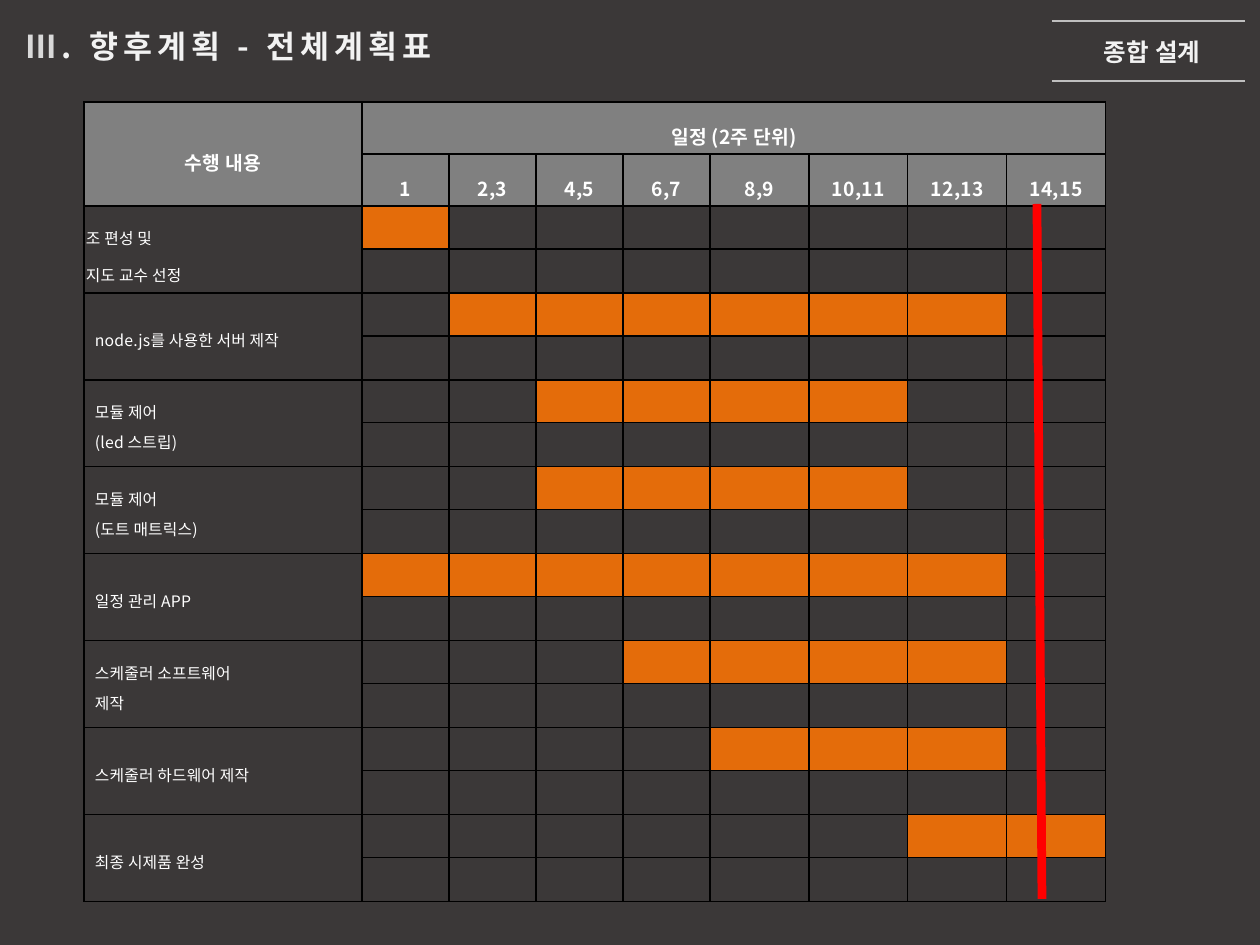
from lxml import etree
from pptx import Presentation
from pptx.dml.color import RGBColor
from pptx.enum.shapes import MSO_CONNECTOR
from pptx.enum.text import MSO_ANCHOR, PP_ALIGN
from pptx.oxml.ns import qn
from pptx.util import Pt

PX = 914400 / 126
FONT = "Noto Sans CJK KR"
STRAIGHT = MSO_CONNECTOR.STRAIGHT
MIDDLE = MSO_ANCHOR.MIDDLE
LEFT, CENTER, RIGHT, JUSTIFY = (
    PP_ALIGN.LEFT, PP_ALIGN.CENTER, PP_ALIGN.RIGHT, PP_ALIGN.JUSTIFY)

BACKGROUND = RGBColor(0x3B, 0x38, 0x38)
PALE = RGBColor(0xF2, 0xF2, 0xF2)
LIGHT = RGBColor(0xD9, 0xD9, 0xD9)
RULE = RGBColor(0xBF, 0xBF, 0xBF)
WHITE = RGBColor(0xFF, 0xFF, 0xFF)
HEADER = RGBColor(0x80, 0x80, 0x80)
ORANGE = RGBColor(0xE4, 0x6C, 0x0A)
RED = RGBColor(0xFF, 0x00, 0x00)

PERIODS = ["1", "2,3", "4,5", "6,7", "8,9", "10,11", "12,13", "14,15"]
TASKS = [
    (["조 편성 및", "지도 교수 선정"], 1, 1),
    (["node.js를 사용한 서버 제작"], 2, 7),
    (["모듈 제어", "(led 스트립)"], 3, 6),
    (["모듈 제어", "(도트 매트릭스)"], 3, 6),
    (["일정 관리 APP"], 1, 7),
    (["스케줄러 소프트웨어", "제작"], 4, 7),
    (["스케줄러 하드웨어 제작"], 5, 7),
    (["최종 시제품 완성"], 7, 8),
]
COLUMNS = [278] + [87] * 4 + [99] * 4
ROWS = [52, 52] + [43, 44] * len(TASKS)


def emu(pixels):
    """Turn px into EMU."""
    return round(pixels * PX)


def style(para, size, color, bold=False, align=LEFT, tracking=10):
    """Set the alignment, font and letter spacing of a paragraph."""
    para.alignment = align
    font = para.font
    font.size, font.bold, font.name = Pt(size), bold, FONT
    font.color.rgb = color
    defaults = para._p.pPr.find(qn("a:defRPr"))
    defaults.set("spc", str(tracking))
    latin = defaults.find(qn("a:latin"))
    latin.addnext(latin.makeelement(qn("a:ea"), {"typeface": FONT}))


def add_line(page, start, end, color, width):
    """Draw a straight line between two points."""
    line = page.shapes.add_connector(STRAIGHT, *map(emu, start + end))
    line.line.color.rgb = color
    line.line.width = Pt(width)
    etree.SubElement(line._element.spPr, qn("a:effectLst"))


def add_title(page, left, top, width, height):
    """Place the slide title."""
    box = page.shapes.add_textbox(*map(emu, (left, top, width, height)))
    box.text_frame.word_wrap = True
    para = box.text_frame.paragraphs[0]
    style(para, 18, PALE, bold=True, tracking=290)
    for words, color in (("Ⅲ", LIGHT), (". 향후계획 - 전체계획표", PALE)):
        span = para.add_run()
        span.text = words
        span.font.color.rgb = color


def add_course_label(page, left, top, width, height):
    """Place the course name between two rules."""
    box = page.shapes.add_textbox(
        *map(emu, (left + 33, top + 10, 128, 40)))
    box.text_frame.word_wrap = False
    para = box.text_frame.paragraphs[0]
    para.text = "종합 설계"
    style(para, 14, PALE, bold=True, align=RIGHT)
    for y in (top, top + height):
        add_line(page, (left, y), (left + width, y), RULE, 0.75)


def format_cell(cell):
    """Give a cell its margins, black borders and no fill."""
    cell.margin_left = cell.margin_right = emu(2)
    cell.margin_top = cell.margin_bottom = emu(2)
    cell.vertical_anchor = MIDDLE
    properties = cell._tc.get_or_add_tcPr()
    for side in ("lnL", "lnR", "lnT", "lnB"):
        border = etree.SubElement(properties, qn(f"a:{side}"), w=str(Pt(1)))
        fill = etree.SubElement(border, qn("a:solidFill"))
        etree.SubElement(fill, qn("a:srgbClr"), val="000000")
    cell.fill.background()
    etree.SubElement(
        cell.text_frame.paragraphs[0]._p, qn("a:endParaRPr"), sz="900")


def fill_cell(cell, color):
    """Fill a cell with one colour."""
    cell.fill.solid()
    cell.fill.fore_color.rgb = color


def write_header(cell, words):
    """Write a header cell."""
    fill_cell(cell, HEADER)
    para = cell.text_frame.paragraphs[0]
    para.text = words
    para.line_spacing = 1.6
    style(para, 11, WHITE, bold=True, align=CENTER)


def write_task(cell, lines, indent, spacing):
    """Write the lines of a task name."""
    cell.text_frame.text = "\n".join(lines)
    for para in cell.text_frame.paragraphs:
        para._p.get_or_add_pPr().set("marL", str(emu(indent)))
        para.line_spacing = spacing
        style(para, 9, WHITE, align=JUSTIFY)


def add_schedule(page, left, top):
    """Place the plan table and its marker for today."""
    width, height = sum(COLUMNS), sum(ROWS)
    table = page.shapes.add_table(
        len(ROWS), len(COLUMNS), *map(emu, (left, top, width, height))).table
    table.first_row = table.horz_banding = False
    for column, size in zip(table.columns, COLUMNS):
        column.width = emu(size)
    for row, size in zip(table.rows, ROWS):
        row.height = emu(size)
    for cell in table.iter_cells():
        format_cell(cell)

    table.cell(0, 0).merge(table.cell(1, 0))
    table.cell(0, 1).merge(table.cell(0, len(PERIODS)))
    write_header(table.cell(0, 0), "수행 내용")
    write_header(table.cell(0, 1), "일정 (2주 단위)")
    for column, period in enumerate(PERIODS, 1):
        write_header(table.cell(1, column), period)

    for index, (lines, first, last) in enumerate(TASKS):
        row = 2 + 2 * index
        name = table.cell(row, 0)
        name.merge(table.cell(row + 1, 0))
        indent, spacing = (9, 1.3) if index else (0, 1.6)
        write_task(name, lines, indent, spacing)
        for column in range(first, last + 1):
            fill_cell(table.cell(row, column), ORANGE)

    add_line(page, (left + 953, top + 102), (left + 958, top + 797), RED, 5)


def main():
    """Build and save the deck."""
    deck = Presentation()
    deck.slide_width, deck.slide_height = emu(1260), emu(945)
    page = deck.slides.add_slide(deck.slide_layouts[6])
    page.background.fill.solid()
    page.background.fill.fore_color.rgb = BACKGROUND
    add_course_label(page, 1052, 21, 193, 60)
    add_title(page, 13, 21, 643, 49)
    add_schedule(page, 84, 102)
    deck.save("out.pptx")


if __name__ == "__main__":
    main()
